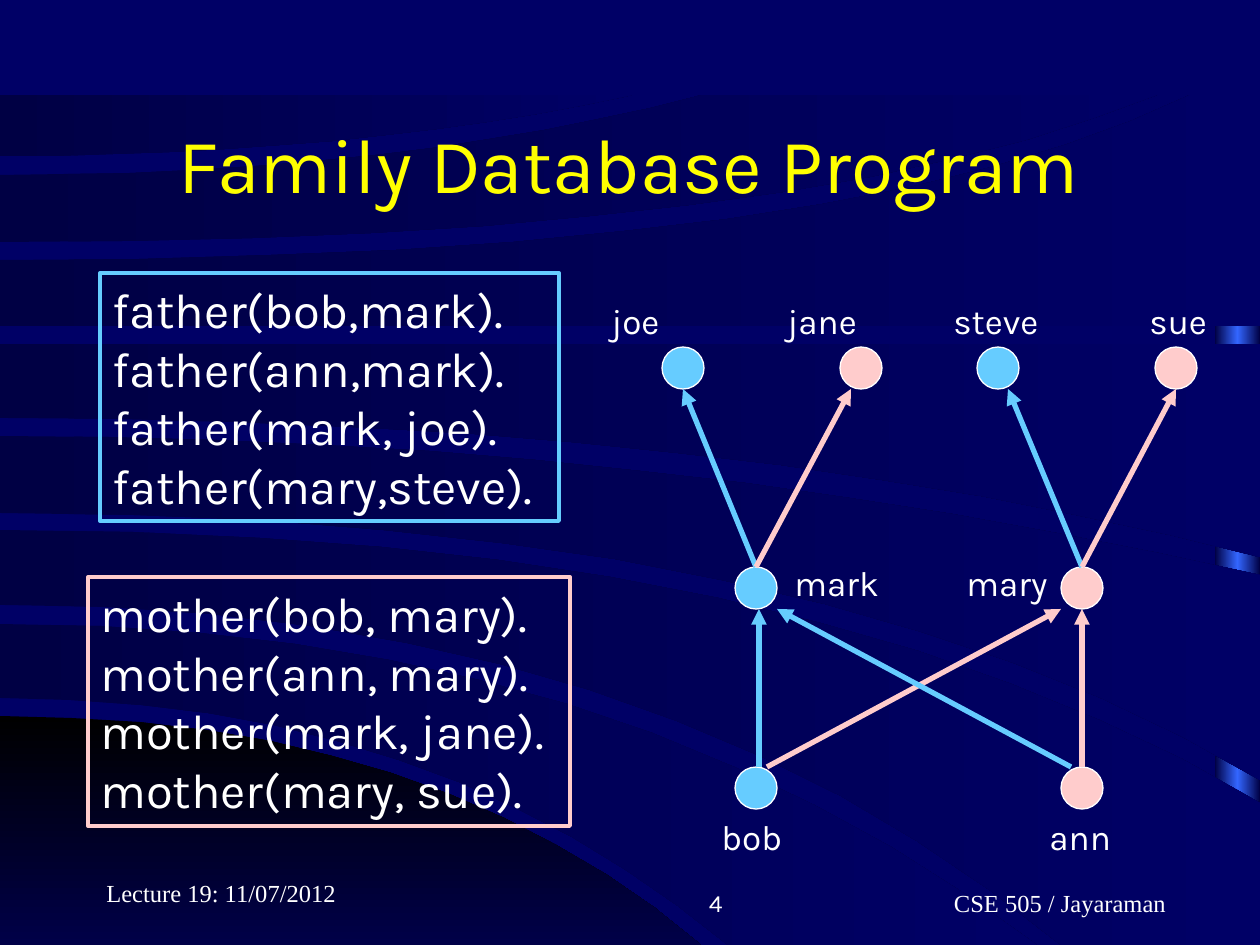
"""Build the family database slide: facts on the left, family graph on the right."""
import copy
import pptx
import pptx.util
import pptx.dml.color
import pptx.enum.shapes
import pptx.enum.text
import pptx.oxml.ns

SCALE = 914400 / 126
WIDE, HIGH, DOT = 1260, 945, 42
BLUE, PINK, WHITE = "66CCFF", "FFCCCC", "FFFFFF"
NAVY, DARK = "000066", "000044"
FONT, SERIF = "Karla", "Times New Roman"
ALIGN = pptx.enum.text.PP_ALIGN
ANCHOR = pptx.enum.text.MSO_ANCHOR
SHAPE = pptx.enum.shapes.MSO_SHAPE
qn = pptx.oxml.ns.qn

# Each edge: left y, bend x, end x, end y.
FAN = ((716, 432, 701, HIGH), (HIGH, 350, 701, HIGH))
BANDS = [
    ((624, 615, 1037, HIGH), (698, 434, 728, HIGH)),
    ((530, 805, WIDE, 803), (605, 650, 1061, HIGH)),
    ((436, 650, WIDE, 575), (513, 815, WIDE, 780)),
    ((344, 630, WIDE, 344), (418, 725, WIDE, 557)),
    ((260, 860, 1190, 95), (326, 630, WIDE, 326)),
    ((175, 400, 702, 95), (242, 800, 1157, 95)),
    ((95, 316, 633, 95), (156, 350, 633, 95)),
]
FACTS = [
    (PINK, (88, 577, 482, 249),
     ["mother(bob, mary).", "mother(ann, mary).",
      "mother(mark, jane).", "mother(mary, sue)."]),
    (BLUE, (100, 273, 459, 248),
     ["father(bob,mark).", "father(ann,mark).",
      "father(mark, joe).", "father(mary,steve)."]),
]
# Each row: dot top, label shift, then name, colour, centre, label left and width.
ROWS = [
    (767, DOT, [("bob", BLUE, 756, 709, 89), ("ann", PINK, 1082, 1037, 88)]),
    (567, -12, [("mark", BLUE, 756, 782, 110), ("mary", PINK, 1082, 954, 110)]),
    (347, -54, [("joe", BLUE, 683, 599, 74), ("jane", PINK, 861, 775, 95),
                ("steve", BLUE, 998, 941, 112), ("sue", PINK, 1176, 1137, 83)]),
]
# Each link: child, parent, sideways shift of both ends.
LINKS = [
    ("bob", "mark", 3, 3), ("ann", "mary", 0, 0),
    ("mark", "joe", 0, 0), ("mary", "steve", 0, 10),
    ("mark", "jane", 0, -10), ("mary", "sue", 0, 0),
    ("bob", "mary", 11, -21), ("ann", "mark", -11, 21),
]


def px(*vals):
    """Turn px lengths into EMU."""
    return [pptx.util.Emu(round(val * SCALE)) for val in vals]


def tint(code):
    """Turn a hex string into a colour."""
    return pptx.dml.color.RGBColor.from_string(code)


def shade(shape, codes, angle=0):
    """Fill a shape with an even gradient and no outline."""
    shape.shadow.inherit = False
    shape.line.fill.background()
    fill = shape.fill
    fill.gradient()
    fill.gradient_angle = angle
    stops = shape._element.spPr.find(".//" + qn("a:gsLst"))
    for _ in codes[2:]:
        stops.append(copy.deepcopy(stops[0]))
    for num, (stop, code) in enumerate(zip(fill.gradient_stops, codes)):
        stop.color.rgb = tint(code)
        stop.position = num / (len(codes) - 1)


def curve(left, bend, right, end, steps=12):
    """Trace an edge that leaves the left side level and bends once."""
    spots = []
    for num in range(steps + 1):
        part = num / steps
        across = 2 * part * (1 - part) * bend + part ** 2 * right
        spots.append((round(across), round(left + part ** 2 * (end - left))))
    return spots


def band(slide, upper, lower, codes, angle=0):
    """Fill the space between two edges with a gradient."""
    ends = upper[2:], lower[2:]
    corner = max(ends)[0], min(ends)[1]
    points = curve(*upper) + [corner] + curve(*lower)[::-1]
    pen = slide.shapes.build_freeform(*points[0], scale=SCALE)
    pen.add_line_segments(points[1:], close=True)
    shade(pen.convert_to_shape(), codes, angle)


def write(shape, lines, size, font=FONT, code=WHITE, align=ALIGN.LEFT,
          anchor=ANCHOR.TOP, wrap=True):
    """Write lines of text into a shape."""
    frame = shape.text_frame
    frame.word_wrap = wrap
    frame.vertical_anchor = anchor
    for num, line in enumerate(lines):
        para = frame.add_paragraph() if num else frame.paragraphs[0]
        para.alignment = align
        run = para.add_run()
        run.text = line
        run.font.size = pptx.util.Pt(size)
        run.font.name = font
        run.font.color.rgb = tint(code)


def label(slide, box, text, size, **style):
    """Add a text box with one line."""
    write(slide.shapes.add_textbox(*px(*box)), [text], size, **style)


def panel(slide, box, code, lines):
    """Add an outlined box of facts."""
    shape = slide.shapes.add_shape(SHAPE.RECTANGLE, *px(*box))
    shape.shadow.inherit = False
    shape.fill.background()
    shape.line.color.rgb = tint(code)
    shape.line.width = pptx.util.Pt(2.25)
    write(shape, lines, 28, wrap=False)


def node(slide, mid, top, code):
    """Add the dot of one person."""
    shape = slide.shapes.add_shape(SHAPE.OVAL, *px(mid - DOT // 2, top, DOT, DOT))
    shape.shadow.inherit = False
    shape.fill.solid()
    shape.fill.fore_color.rgb = tint(code)
    shape.line.color.rgb = tint(WHITE)
    shape.line.width = pptx.util.Pt(0.75)


def arrow(slide, code, start, end):
    """Add an arrow from child to parent."""
    kind = pptx.enum.shapes.MSO_CONNECTOR.STRAIGHT
    line = slide.shapes.add_connector(kind, *px(*start, *end))
    line.line.color.rgb = tint(code)
    line.line.width = pptx.util.Pt(3)
    props = line._element.spPr
    edge = props.find(qn("a:ln"))
    edge.append(edge.makeelement(qn("a:tailEnd"), {"type": "triangle"}))
    props.append(props.makeelement(qn("a:effectLst"), {}))


def graph(slide):
    """Draw the people, their names and the links to their parents."""
    people = {}
    for top, shift, row in ROWS:
        for name, code, mid, left, width in row:
            people[name] = mid, top, code
            node(slide, mid, top, code)
            label(slide, (left, top + shift, width, 55), name, 20, wrap=False)
    for child, parent, near, far in LINKS:
        low, base, _ = people[child]
        high, top, code = people[parent]
        arrow(slide, code, (low + near, base), (high + far, top + DOT))


def main():
    """Build and save the slide."""
    deck = pptx.Presentation()
    deck.slide_width, deck.slide_height = px(WIDE, HIGH)
    slide = deck.slides.add_slide(deck.slide_layouts[6])
    back = slide.background.fill
    back.solid()
    back.fore_color.rgb = tint(NAVY)

    strip = slide.shapes.add_shape(SHAPE.RECTANGLE, *px(1215, 97, 45, 848))
    shade(strip, [DARK, "3366FF", DARK])
    band(slide, *FAN, ["000000", "000048"], 270)
    for edges in BANDS:
        band(slide, *edges, [DARK, NAVY])

    label(slide, (94, 84, 1071, 158), "Family Database Program", 44,
          code="FFFF00", align=ALIGN.CENTER, anchor=ANCHOR.MIDDLE)
    for code, box, lines in FACTS:
        panel(slide, box, code, lines)
    graph(slide)

    low = ANCHOR.BOTTOM
    label(slide, (94, 851, 262, 63), "Lecture 19: 11/07/2012", 14,
          font=SERIF, anchor=low)
    label(slide, (473, 861, 262, 63), "4", 14, align=ALIGN.RIGHT, anchor=low)
    label(slide, (829, 861, 399, 63), "\tCSE 505 / Jayaraman", 14,
          font=SERIF, align=ALIGN.CENTER, anchor=low)
    deck.save("out.pptx")


if __name__ == "__main__":
    main()
